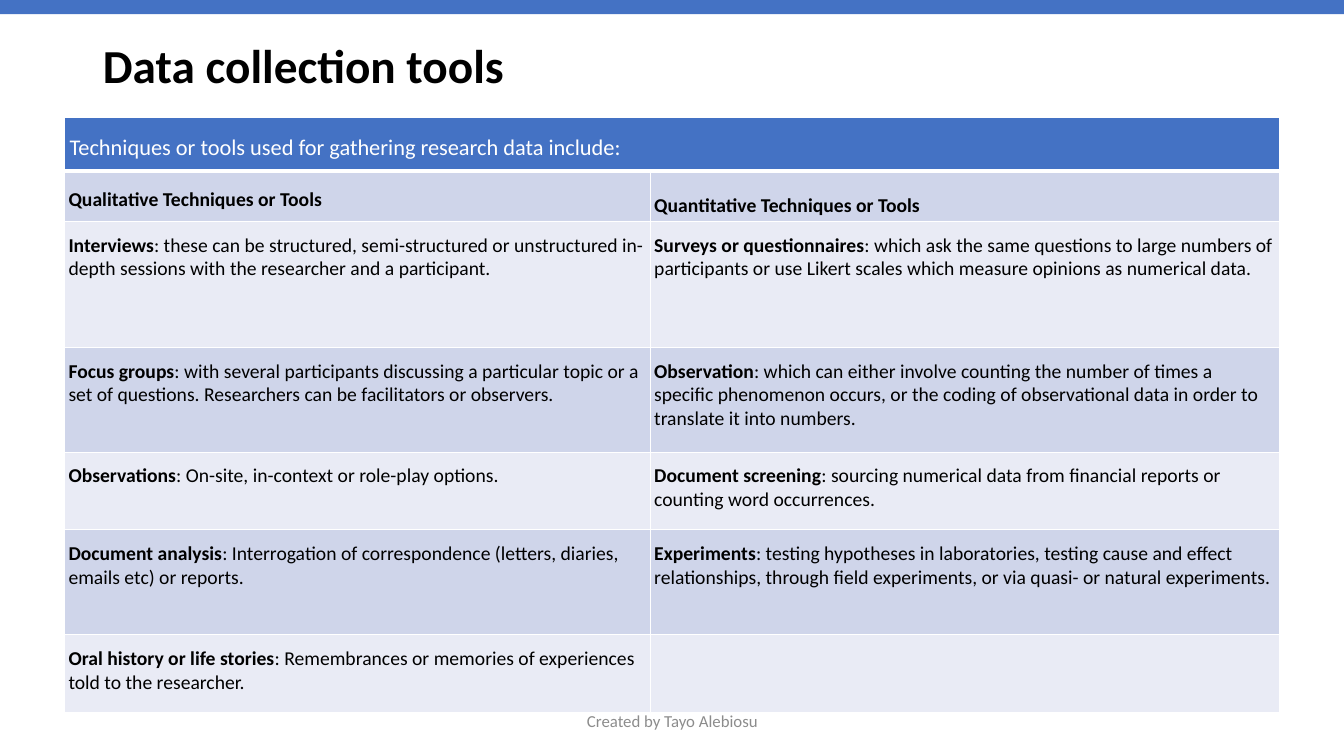
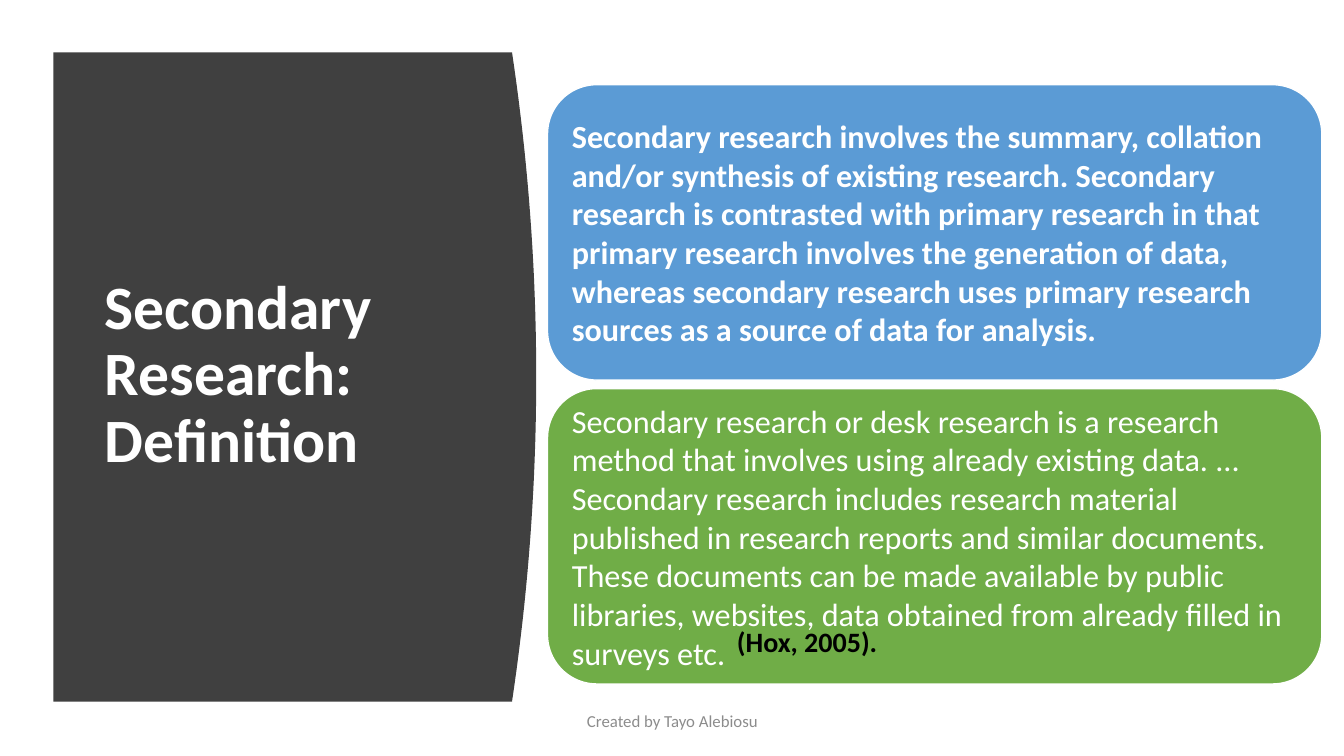
from lxml.etree import SubElement
from pptx import Presentation
from pptx.dml.color import RGBColor
from pptx.enum.shapes import MSO_SHAPE as Shape
from pptx.enum.text import MSO_ANCHOR as Anchor, MSO_AUTO_SIZE as AutoSize, PP_ALIGN as Align
from pptx.oxml.ns import qn
from pptx.util import Inches, Pt

FONT = "Calibri"
BLACK, WHITE, GRAY, CHARCOAL = "000000", "FFFFFF", "8C8C8C", "404040"
BLUE, SKY, GREEN = "4472C4", "5B9BD5", "70AD47"
BANDS = ["CFD5EA", "E9EBF5"]
FOOTER = "Created by Tayo Alebiosu"

TOOLS_HEADING = "Techniques or tools used for gathering research data include:"
TOOLS = [
    (("Qualitative Techniques or Tools", ""),
     ("Quantitative Techniques or Tools", "")),
    (("Interviews", ": these can be structured, semi-structured or unstructured in-depth "
      "sessions with the researcher and a participant."),
     ("Surveys or questionnaires", ": which ask the same questions to large numbers of "
      "participants or use Likert scales which measure opinions as numerical data.")),
    (("Focus groups", ": with several participants discussing a particular topic or a set of "
      "questions. Researchers can be facilitators or observers."),
     ("Observation", ": which can either involve counting the number of times a specific "
      "phenomenon occurs, or the coding of observational data in order to translate it into "
      "numbers.")),
    (("Observations", ": On-site, in-context or role-play options."),
     ("Document screening", ": sourcing numerical data from financial reports or counting "
      "word occurrences.")),
    (("Document analysis", ": Interrogation of correspondence (letters, diaries, emails etc) "
      "or reports."),
     ("Experiments", ": testing hypotheses in laboratories, testing cause and effect "
      "relationships, through field experiments, or via quasi- or natural experiments.")),
    (("Oral history or life stories", ": Remembrances or memories of experiences told to the "
      "researcher."),
     ("", "")),
]
DEFINITIONS = [
    ("Secondary research involves the summary, collation and/or synthesis of existing "
     "research. Secondary research is contrasted with primary research in that primary "
     "research involves the generation of data, whereas secondary research uses primary "
     "research sources as a source of data for analysis.", SKY, True),
    ("Secondary research or desk research is a research method that involves using already "
     "existing data. ... Secondary research includes research material published in "
     "research reports and similar documents. These documents can be made available by "
     "public libraries, websites, data obtained from already filled in surveys etc.",
     GREEN, False),
]


def color(value):
    return RGBColor.from_string(value)


def paint(target, value):
    target.fill.solid()
    target.fill.fore_color.rgb = color(value)


def write(frame, *spans, size, ink=BLACK, bold=False, align=Align.LEFT, spacing=1.0):
    para = frame.paragraphs[0]
    para.alignment, para.line_spacing = align, spacing
    for index, text in enumerate(spans):
        if text:
            span = para.add_run()
            span.text = text
            font = span.font
            font.name, font.size, font.color.rgb = FONT, Pt(size), color(ink)
            font.bold = bold and index == 0


def set_borders(cell, bottom=1):
    properties = cell._tc.get_or_add_tcPr()
    for index, (side, width) in enumerate(zip("LRTB", (1, 1, 1, bottom))):
        line = properties.makeelement(qn(f"a:ln{side}"), {"w": str(Pt(width))})
        fill = SubElement(line, qn("a:solidFill"))
        SubElement(fill, qn("a:srgbClr"), val=WHITE)
        properties.insert(index, line)


class SlideWriter:
    def __init__(self):
        self.deck = Presentation()
        self.deck.slide_width, self.deck.slide_height = Inches(13.33), Inches(7.5)
        self.page = None

    def across(self, percent):
        return round(self.deck.slide_width * percent / 100)

    def down(self, percent):
        return round(self.deck.slide_height * percent / 100)

    def area(self, left, top, width, height):
        return self.across(left), self.down(top), self.across(width), self.down(height)

    def new_page(self):
        self.page = self.deck.slides.add_slide(self.deck.slide_layouts[5])

    def title(self, text, *place, **style):
        title = self.page.shapes.title
        title.element.getparent().append(title.element)
        title.left, title.top, title.width, title.height = self.area(*place)
        frame = title.text_frame
        frame.auto_size, frame.word_wrap = AutoSize.NONE, True
        frame.vertical_anchor = Anchor.MIDDLE
        write(frame, text, bold=True, **style)

    def label(self, text, *place, wrap=True, anchor=Anchor.TOP, **style):
        frame = self.page.shapes.add_textbox(*self.area(*place)).text_frame
        frame.word_wrap, frame.vertical_anchor = wrap, anchor
        write(frame, text, **style)

    def footer(self):
        self.label(FOOTER, 33.16, 92.67, 33.75, 5.33, anchor=Anchor.MIDDLE,
                   size=12, ink=GRAY, align=Align.CENTER)

    def block(self, kind, fill, *place, outline=None):
        block = self.page.shapes.add_shape(kind, *self.area(*place))
        block.shadow.inherit = False
        paint(block, fill)
        if outline:
            block.line.color.rgb, block.line.width = color(outline), Pt(1)
        else:
            block.line.fill.background()
        return block

    def card(self, text, fill, *place, **style):
        frame = self.block(Shape.ROUNDED_RECTANGLE, fill, *place, outline=WHITE).text_frame
        frame.word_wrap, frame.vertical_anchor = True, Anchor.MIDDLE
        frame.margin_left = frame.margin_right = Inches(0.1)
        frame.margin_top = frame.margin_bottom = Inches(0.1)
        write(frame, text, ink=WHITE, **style)

    def curved_panel(self, fill, left, top, width, height, bulge, steps=40):
        edge = []
        for step in range(steps + 1):
            share = step / steps
            x = left + width + bulge * 4 * share * (1 - share)
            edge.append((self.across(x), self.down(top + height * share)))
        start = self.across(left), self.down(top)
        builder = self.page.shapes.build_freeform(*start)
        builder.add_line_segments(edge + [(start[0], edge[-1][1])], close=True)
        panel = builder.convert_to_shape()
        panel.shadow.inherit = False
        paint(panel, fill)
        panel.line.fill.background()

    def cell(self, cell, fill, *spans, anchor=Anchor.TOP, side=0.04, bottom=1, **style):
        paint(cell, fill)
        set_borders(cell, bottom)
        cell.vertical_anchor = anchor
        cell.margin_left = cell.margin_right = Inches(side)
        cell.margin_top, cell.margin_bottom = Inches(0.12), Inches(0.04)
        write(cell.text_frame, *spans, **style)

    def table(self, heading, rows, left, top, widths, heights):
        place = self.area(left, top, sum(widths), sum(heights))
        table = self.page.shapes.add_table(len(heights), len(widths), *place).table
        table.horz_banding = False
        for column, width in zip(table.columns, widths):
            column.width = self.across(width)
        for row, height in zip(table.rows, heights):
            row.height = self.down(height)
        table.cell(0, 0).merge(table.cell(0, len(widths) - 1))
        self.cell(table.cell(0, 0), BLUE, heading, anchor=Anchor.MIDDLE, side=0.05,
                  bottom=3, size=16, ink=WHITE)
        for number, row in enumerate(rows):
            anchors = (Anchor.TOP, Anchor.TOP) if number else (Anchor.MIDDLE, Anchor.BOTTOM)
            for column, (spans, anchor) in enumerate(zip(row, anchors)):
                self.cell(table.cell(number + 1, column), BANDS[number % 2], *spans,
                          anchor=anchor, size=14, bold=True)


def tools_page(writer):
    writer.new_page()
    writer.title("Data collection tools", 6.9, 4, 50.56, 9.07, size=33.8)
    writer.block(Shape.RECTANGLE, BLUE, 0, 0, 100, 1.87)
    writer.table(TOOLS_HEADING, TOOLS, 4.8, 15.47, (43.58, 46.81),
                 (7.15, 6.67, 16.67, 13.87, 10.27, 13.87, 10.27))
    writer.footer()


def definition_page(writer):
    writer.new_page()
    writer.curved_panel(CHARCOAL, 3.98, 6.93, 34.12, 85.87, 1.8)
    writer.title("Secondary Research: Definition", 7.05, 14.8, 28.06, 69.87,
                 size=44, ink=WHITE, spacing=0.9)
    for index, (text, fill, bold) in enumerate(DEFINITIONS):
        writer.card(text, fill, 40.74, 11.2 + 40.2 * index, 57.61, 39.07,
                    size=23, bold=bold)
    writer.label("(Hox, 2005).", 54.09, 82, 12.08, 5.87, wrap=False, size=20, bold=True)
    writer.footer()


def main():
    writer = SlideWriter()
    tools_page(writer)
    definition_page(writer)
    writer.deck.save("out.pptx")


if __name__ == "__main__":
    main()
